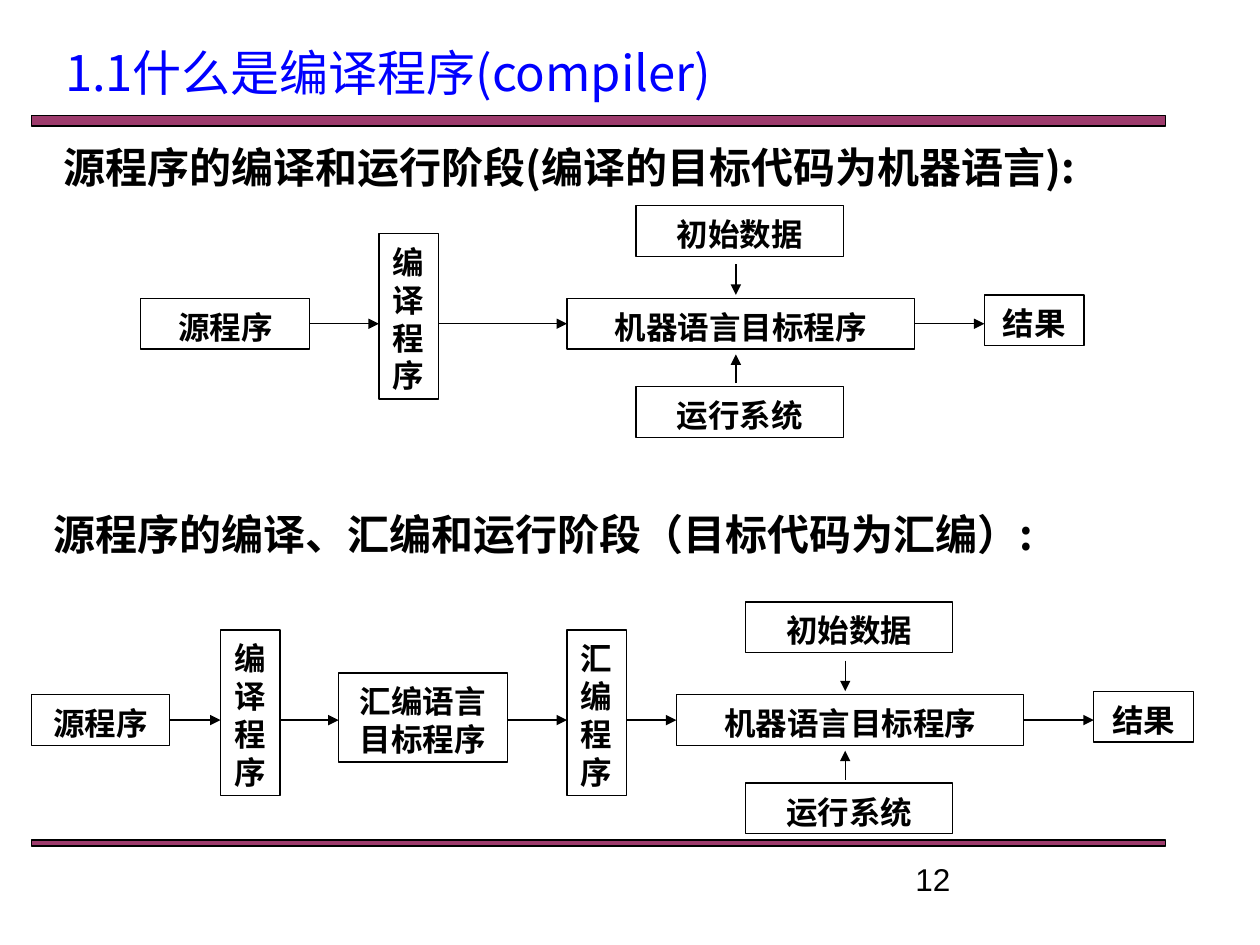
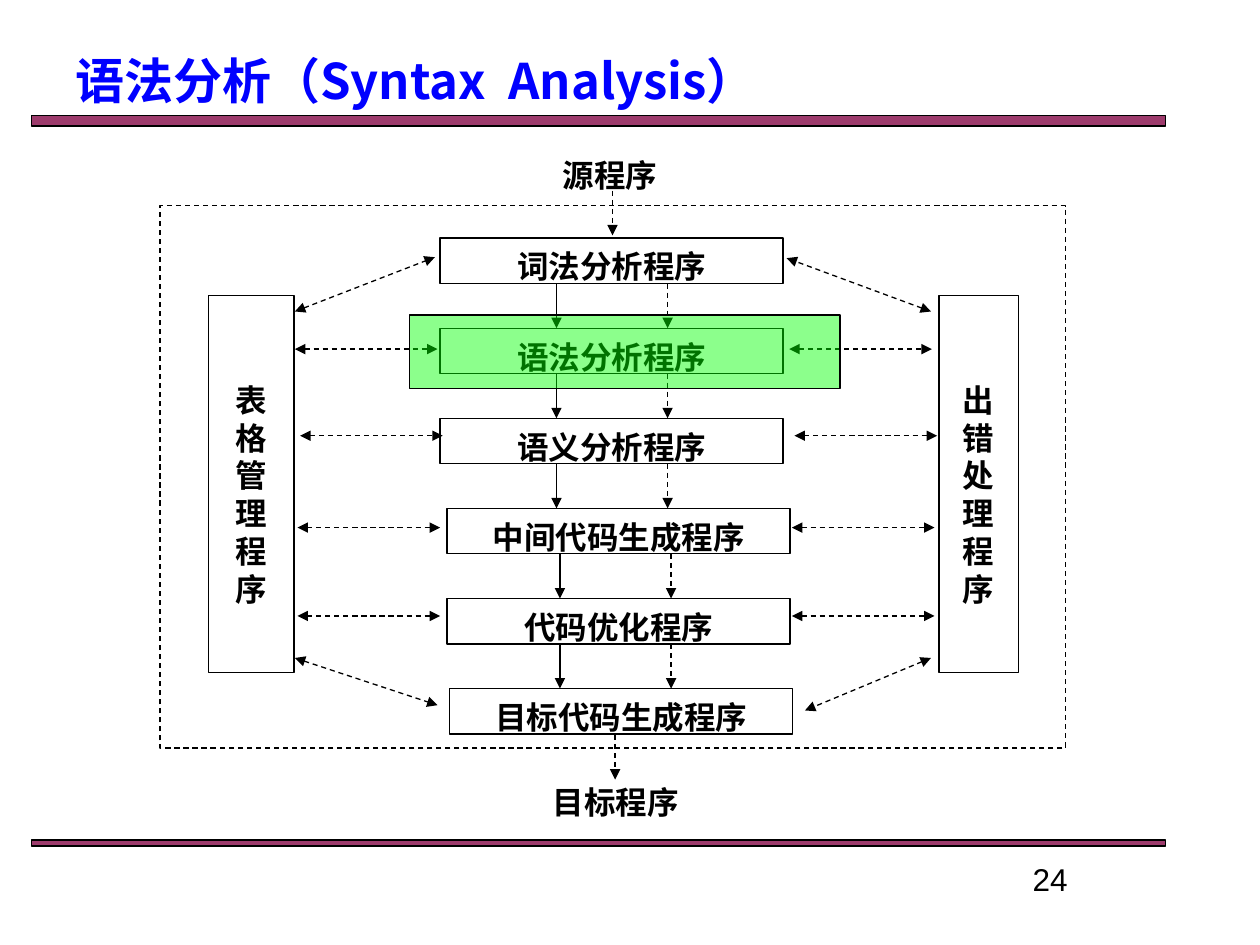
from lxml.etree import SubElement
from pptx import Presentation
from pptx.dml.color import RGBColor as RGB
from pptx.enum.dml import MSO_LINE as Dash
from pptx.enum.shapes import MSO_CONNECTOR as Conn, MSO_SHAPE as Kind
from pptx.enum.text import MSO_ANCHOR as Anchor, MSO_AUTO_SIZE as Auto, PP_ALIGN as Align
from pptx.oxml.ns import qn
from pptx.util import Pt

BLACK = RGB(0x00, 0x00, 0x00)
WHITE = RGB(0xFF, 0xFF, 0xFF)
BLUE = RGB(0x00, 0x00, 0xFF)
PLUM = RGB(0x99, 0x33, 0x66)
GREEN = RGB(0x00, 0xFF, 0x00)
SANS = "Noto Sans CJK SC"
SERIF = "Times New Roman"
LEAD = 1.2  # line pitch as a multiple of the text size


def put(obj, vals):
    for key, val in vals.items():
        setattr(obj, key, val)


def place(shape, box):
    put(shape, dict(zip(("left", "top", "width", "height"), map(Pt, box))))


def write(shape, text, size=18, bold=True, color=BLACK, face=SANS,
          align=Align.CENTER, anchor=Anchor.TOP, left=7.2, drop=0):
    """Set one paragraph, its first line lowered by drop points."""
    frame = shape.text_frame
    put(frame, dict(
        word_wrap=True, auto_size=Auto.NONE, vertical_anchor=anchor,
        margin_left=Pt(left), margin_right=Pt(7.2),
        margin_top=Pt(3.6 + size / 10 + drop), margin_bottom=Pt(1.8)))
    para = frame.paragraphs[0]
    put(para, dict(alignment=align, line_spacing=Pt(size * LEAD),
                   space_before=Pt(0)))
    run = para.add_run()
    run.text = text
    put(run.font, dict(size=Pt(size), bold=bold, name=face))
    run.font.color.rgb = color
    for props in shape.element.iter(qn("a:rPr")):
        SubElement(props, qn("a:ea"), typeface=SANS)


def stroke(line, dash=False):
    line.color.rgb = BLACK
    line.width = Pt(0.75)
    if dash:
        line.dash_style = Dash.DASH


def rect(slide, box, fill=None, alpha=100, dash=False):
    shape = slide.shapes.add_shape(Kind.RECTANGLE, *map(Pt, box))
    shape.shadow.inherit = False
    stroke(shape.line, dash)
    if fill is None:
        shape.fill.background()
        return shape
    shape.fill.solid()
    shape.fill.fore_color.rgb = fill
    if alpha < 100:
        tint = shape.element.spPr.find(qn("a:solidFill"))[0]
        SubElement(tint, qn("a:alpha"), val=str(alpha * 1000))
    return shape


def block(slide, box, text, fill=None, **style):
    shape = rect(slide, box, fill)
    write(shape, text, **style)
    return shape


def label(slide, box, text, **style):
    write(slide.shapes.add_textbox(*map(Pt, box)), text, **style)


def arrow(slide, start, end, dash=False, both=False):
    link = slide.shapes.add_connector(Conn.STRAIGHT, *map(Pt, start + end))
    stroke(link.line, dash)
    props = link.element.spPr
    line = props.find(qn("a:ln"))
    for tip in ("a:headEnd", "a:tailEnd") if both else ("a:tailEnd",):
        SubElement(line, qn(tip), type="triangle")
    SubElement(props, qn("a:effectLst"))
    return link


def bands(slide, layout):
    """Put the two bands on the layout, behind its placeholders."""
    for num, (top, high) in enumerate(((66, 6), (480, 3.5))):
        band = rect(slide, (18, top, 648, high), PLUM, 96).element
        band.nvSpPr.cNvPr.set("id", str(100 + num))
        layout.shapes.element.insert(2 + num, band)


def head(slide, box, text, page, align=Align.LEFT, **style):
    """Fill the title and the page number."""
    place(slide.shapes.title, box)
    write(slide.shapes.title, text, size=28, color=BLUE, align=Align.LEFT, **style)
    label(slide, (516, 486, 168, 30), page, bold=False, face="Arial", align=align)


def chain(slide, mid, steps):
    """Draw steps (text, left, rise above mid, width, height) joined by arrows."""
    last = None
    for text, left, rise, wide, high in steps:
        shape = block(slide, (left, mid - rise, wide, high), text)
        even = rise * 2 == high
        if last:
            prior, edge, level = last
            link = arrow(slide, (edge, mid), (left, mid))
            if level:
                link.begin_connect(prior, 3)
            if even:
                link.end_connect(shape, 1)
        last = shape, left + wide, even


def stage(slide, mid, left, steps):
    """Draw a chain that ends in the target program at left, with its inputs."""
    chain(slide, mid, steps + [
        ("机器语言目标程序", left, 14.5, 198.5, 29),
        ("结果", left + 238.5, 16.5, 57, 29)])
    for text, top, start, end in (("初始数据", -67.5, -34, -16.5),
                                  ("运行系统", 36, 34, 17.5)):
        block(slide, (left + 39.5, mid + top, 118.5, 29), text)
        arrow(slide, (left + 96.5, mid + start), (left + 96.5, mid + end))


def tower(text, left):
    return text, left, 51.5, 34, 94.5


def stages(slide):
    head(slide, (30, 18, 648, 60), "1.1什么是编译程序(compiler)", "12",
         align=Align.LEFT, bold=False)
    for box, text in (
            ((24, 75, 654.5, 36), "源程序的编译和运行阶段(编译的目标代码为机器语言):"),
            ((18, 284.5, 660, 36), "源程序的编译、汇编和运行阶段（目标代码为汇编）:")):
        label(slide, box, text, size=24, align=Align.LEFT, left=12.5)
    stage(slide, 185, 324, [("源程序", 80.5, 14.5, 96.5, 29),
                            tower("编译程序", 216.5)])
    stage(slide, 411.5, 386.5, [("源程序", 18, 14.5, 79, 29),
                                tower("编译程序", 126),
                                ("汇编语言目标程序", 193.5, 27, 96.5, 51),
                                tower("汇编程序", 324)])


def phases(slide, top):
    """Draw the column of phases and the arrows running down it."""
    names = ("词法分析程序", "语法分析程序", "语义分析程序",
             "中间代码生成程序", "代码优化程序", "目标代码生成程序")
    lefts = (251.5, 251.5, 251.5, 255.5, 255.5, 257)
    wide, high, pitch = 196, 26, 51.5
    for row, (name, left) in enumerate(zip(names, lefts)):
        block(slide, (left, top + row * pitch, wide, high), name, WHITE, face=SERIF)
    for row in range(len(names) - 1):
        x = 318 if row < 3 else 320
        start, end = top + row * pitch + high, top + (row + 1) * pitch
        arrow(slide, (x, start), (x, end))
        arrow(slide, (x + 63.5, start), (x + 63.5, end), dash=True)
    for text, left, y, x, start, end in (
            ("源程序", 250.5, -52.5, 350, -27, -1.5),
            ("目标程序", 254, 306, 351.5, 284, 309.5)):
        label(slide, (left, top + y, wide, high), text, face=SERIF)
        arrow(slide, (x, top + start), (x, top + end), dash=True)


def sides(slide, top):
    """Draw the two side programs and their two-way arrows."""
    for text, left, wide in (("表格管理程序", 119, 49), ("出错处理程序", 536.5, 45.5)):
        block(slide, (left, top, wide, 215.5), text, WHITE, face=SERIF,
              drop=2 * 18 * LEAD)
    pairs = [((x + shift, top + y), (x + shift + 81.5, top + y))
             for x, y in ((168.5, 30.5), (171.5, 80), (170, 132.5), (170, 183))
             for shift in (0, 282.5)]
    pairs += [((x, top + y), (far, top + end)) for x, y, far, end in (
        (168.5, 9, 248.5, -22), (168.5, 207, 250, 234),
        (532, 9, 449.5, -21.5), (532, 207, 460, 237))]
    for start, end in pairs:
        arrow(slide, start, end, dash=True, both=True)


def syntax(slide):
    head(slide, (36, 30, 648, 27), "语法分析（Syntax  Analysis）", "24",
         align=Align.CENTER, anchor=Anchor.MIDDLE)
    phases(slide, 136)
    sides(slide, 169)
    rect(slide, (91.5, 117.5, 517.5, 310), dash=True)
    rect(slide, (234, 180, 246, 42), GREEN, 45)


def main():
    prs = Presentation()
    put(prs, dict(slide_width=Pt(720), slide_height=Pt(540)))
    layout = prs.slide_layouts[5]
    first, second = (prs.slides.add_slide(layout) for _ in range(2))
    bands(first, layout)
    stages(first)
    syntax(second)
    prs.save("out.pptx")


if __name__ == "__main__":
    main()
